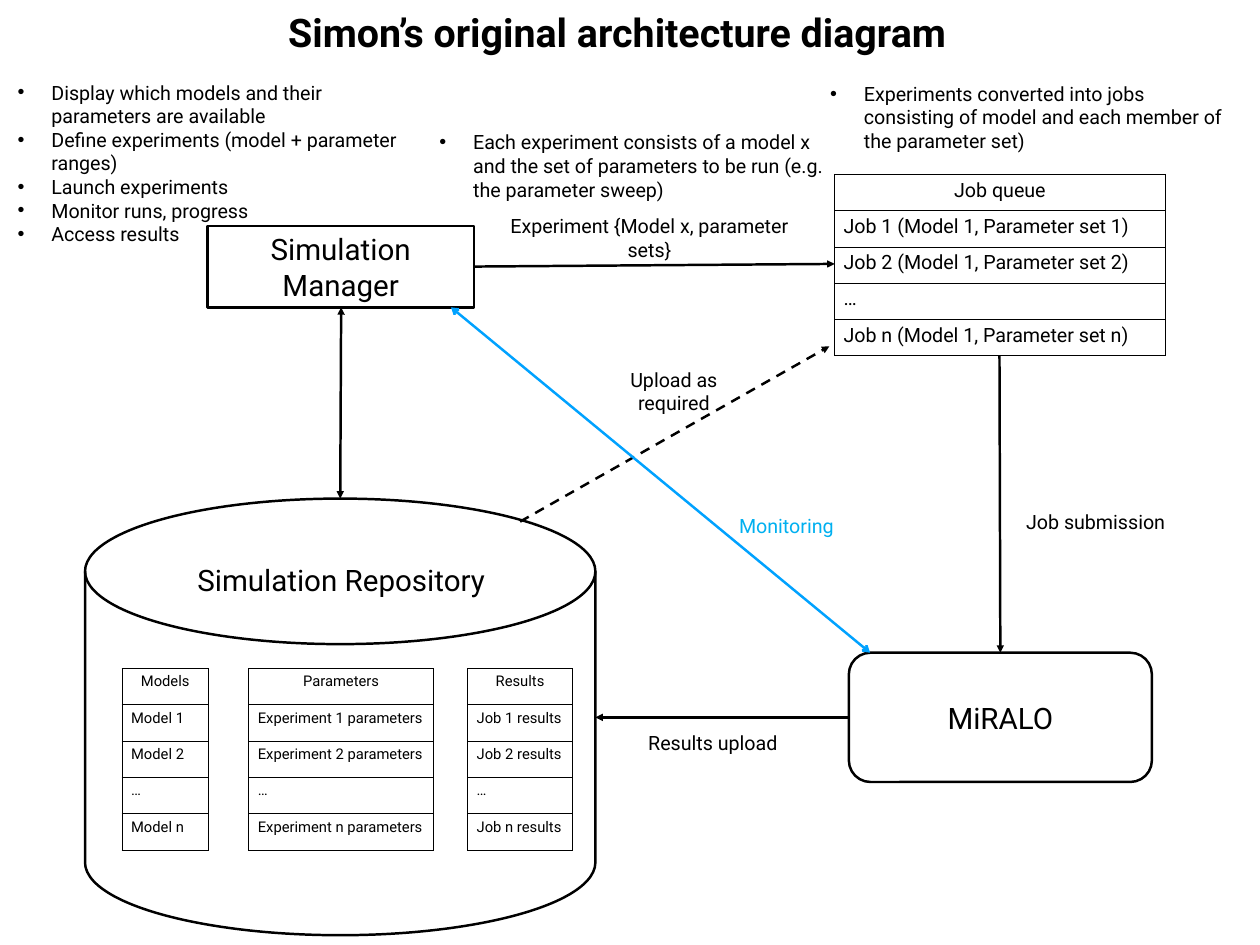
from lxml import etree
from pptx import Presentation
from pptx.dml.color import RGBColor
from pptx.enum.dml import MSO_LINE
from pptx.enum.shapes import MSO_CONNECTOR, MSO_SHAPE
from pptx.enum.text import MSO_ANCHOR, MSO_AUTO_SIZE, PP_ALIGN
from pptx.oxml.ns import qn
from pptx.util import Inches, Pt

BLACK = RGBColor(0x00, 0x00, 0x00)
WHITE = RGBColor(0xFF, 0xFF, 0xFF)
BLUE = RGBColor(0x00, 0xA2, 0xFF)
SKY = RGBColor(0x00, 0xB0, 0xF0)
CENTER, LEFT = PP_ALIGN.CENTER, PP_ALIGN.LEFT
MIDDLE, NO_FIT = MSO_ANCHOR.MIDDLE, MSO_AUTO_SIZE.NONE
STRAIGHT, DASH = MSO_CONNECTOR.STRAIGHT, MSO_LINE.DASH
DISK, BOX, ROUNDED = (MSO_SHAPE.FLOWCHART_MAGNETIC_DISK, MSO_SHAPE.RECTANGLE,
                      MSO_SHAPE.ROUNDED_RECTANGLE)
FONT = "Roboto"
INSET, INDENT, ROW = 0.06, 0.38, 0.41

TITLE = ("Simon’s original architecture diagram", (1.68, 0.03, 10.58, 0.65))

NOTES = {
    1: ((0.14, 0.84, 4.58, 2.0), [
        "Display which models and their parameters are available",
        "Define experiments (model + parameter ranges)",
        "Launch experiments",
        "Monitor runs, progress",
        "Access results"]),
    2: ((4.9, 1.41, 4.58, 0.92), [
        "Each experiment consists of a model x and the set of parameters "
        "to be run (e.g. the parameter sweep)"]),
    4: ((9.31, 0.86, 4.58, 0.92), [
        "Experiments converted into jobs consisting of model and each "
        "member of the parameter set)"]),
}

REPOSITORY = (0.96, 5.63, 5.76, 4.93)
MANAGER = (2.34, 2.55, 3.01, 0.92)
CLOUD = (9.58, 7.37, 3.42, 1.46)
COMPONENTS = [
    (DISK, REPOSITORY, ""),
    (BOX, MANAGER, "Simulation Manager"),
    (ROUNDED, CLOUD, "MiRALO"),
]

STORE_TOP = 7.55
QUEUE_LEFT, QUEUE_TOP, QUEUE_WIDTH = 9.42, 1.97, 3.73
TABLES = [
    ("Models", "Model {}", 1.38, STORE_TOP, 0.97, 12),
    ("Parameters", "Experiment {} parameters", 2.81, STORE_TOP, 2.08, 12),
    ("Results", "Job {} results", 5.28, STORE_TOP, 1.18, 12),
    ("Job queue", "Job {0} (Model 1, Parameter set {0})",
     QUEUE_LEFT, QUEUE_TOP, QUEUE_WIDTH, 16),
]

LABELS = [
    ("Simulation Repository", (2.16, 6.28, 3.38, 0.52), 24, BLACK),
    ("Experiment {Model x, parameter sets}", (5.61, 2.36, 3.44, 0.65), 16, BLACK),
    ("Upload as required", (6.73, 4.09, 1.75, 0.65), 16, BLACK),
    ("Job submission", (11.49, 5.7, 1.75, 0.38), 16, BLACK),
    ("Results upload", (7.17, 8.2, 1.75, 0.38), 16, BLACK),
    ("Monitoring", (8.0, 5.74, 1.75, 0.38), 16, SKY),
]

MANAGER_RIGHT = MANAGER[0] + MANAGER[2]
MANAGER_BOTTOM = MANAGER[1] + MANAGER[3]
REPOSITORY_RIGHT = REPOSITORY[0] + REPOSITORY[2]
QUEUE_BOTTOM = QUEUE_TOP + 5 * ROW
CLOUD_LEFT, CLOUD_TOP = CLOUD[:2]
CLOUD_MIDDLE = CLOUD_TOP + CLOUD[3] / 2
FLOWS = [
    ((MANAGER_RIGHT, 3.01), (QUEUE_LEFT, 2.98), BLACK, None, "triangle", False),
    ((11.28, QUEUE_BOTTOM), (11.29, CLOUD_TOP), BLACK, None, "triangle", False),
    ((CLOUD_LEFT, CLOUD_MIDDLE), (REPOSITORY_RIGHT, CLOUD_MIDDLE),
     BLACK, None, "triangle", False),
    ((5.87, 5.89), (9.36, 3.91), BLACK, None, "triangle", True),
    ((3.85, MANAGER_BOTTOM), (3.84, REPOSITORY[1]), BLACK, "triangle", "triangle", False),
    ((5.09, MANAGER_BOTTOM), (9.82, CLOUD_TOP), BLUE, "arrow", "arrow", False),
]


def inches(lengths):
    return [Inches(length) for length in lengths]


def style(frame, size, color=BLACK, align=CENTER, bold=False):
    for paragraph in frame.paragraphs:
        paragraph.alignment = align
        paragraph.space_before = Pt(0)
        for run in paragraph.runs:
            run.font.name, run.font.size, run.font.bold = FONT, Pt(size), bold
            run.font.color.rgb = color


def write(shape, text, size, color=BLACK, align=CENTER, bold=False):
    frame = shape.text_frame
    frame.text = text
    frame.word_wrap, frame.auto_size = True, NO_FIT
    frame.vertical_anchor = MIDDLE
    frame.margin_left = frame.margin_right = Inches(INSET)
    frame.margin_top = frame.margin_bottom = Inches(INSET)
    style(frame, size, color, align, bold)


def place(shape, area):
    shape.left, shape.top, shape.width, shape.height = inches(area)


def add_bullets(frame):
    for paragraph in frame.paragraphs:
        properties = paragraph._p.get_or_add_pPr()
        properties.set("marL", str(Inches(INDENT)))
        properties.set("indent", str(-Inches(INDENT)))
        etree.SubElement(properties, qn("a:buFont"), typeface="Arial")
        etree.SubElement(properties, qn("a:buChar"), char="•")


def add_component(slide, kind, area, text):
    component = slide.shapes.add_shape(kind, *inches(area))
    component.shadow.inherit = False
    component.fill.solid()
    component.fill.fore_color.rgb = WHITE
    component.line.color.rgb = BLACK
    component.line.width = Pt(2)
    if text:
        write(component, text, 24)


def add_borders(cell):
    properties = cell._tc.get_or_add_tcPr()
    for position, side in enumerate(("lnL", "lnR", "lnT", "lnB")):
        border = etree.Element(qn(f"a:{side}"), w=str(Pt(1)))
        fill = etree.SubElement(border, qn("a:solidFill"))
        etree.SubElement(fill, qn("a:srgbClr"), val=str(BLACK))
        properties.insert(position, border)


def add_records(slide, heading, pattern, left, top, width, size):
    entries = [heading, pattern.format(1), pattern.format(2), "…", pattern.format("n")]
    area = inches((left, top, width, ROW * len(entries)))
    table = slide.shapes.add_table(len(entries), 1, *area).table
    table.first_row = table.horz_banding = False
    for index, entry in enumerate(entries):
        table.rows[index].height = Inches(ROW)
        cell = table.cell(index, 0)
        cell.text = entry
        cell.fill.background()
        add_borders(cell)
        style(cell.text_frame, size, align=LEFT if index else CENTER)


def add_flow(slide, start, end, color, head, tail, dashed):
    flow = slide.shapes.add_connector(STRAIGHT, *inches(start + end))
    flow.line.color.rgb = color
    flow.line.width = Pt(2)
    if dashed:
        flow.line.dash_style = DASH
    line = flow.line._get_or_add_ln()
    for tag, arrow in (("a:headEnd", head), ("a:tailEnd", tail)):
        if arrow:
            etree.SubElement(line, qn(tag), type=arrow)
    etree.SubElement(flow._element.spPr, qn("a:effectLst"))


deck = Presentation()
deck.slide_width, deck.slide_height = inches((14.22, 10.67))
slide = deck.slides.add_slide(deck.slide_layouts.get_by_name("Comparison"))

heading, heading_area = TITLE
place(slide.shapes.title, heading_area)
write(slide.shapes.title, heading, 32, bold=True)

for holder in list(slide.placeholders)[1:]:
    number = holder.placeholder_format.idx
    if number in NOTES:
        area, points = NOTES[number]
        place(holder, area)
        write(holder, "\n".join(points), 16, align=LEFT)
        add_bullets(holder.text_frame)
    else:
        holder._element.getparent().remove(holder._element)

for component in COMPONENTS:
    add_component(slide, *component)
for records in TABLES:
    add_records(slide, *records)
for flow in FLOWS:
    add_flow(slide, *flow)
for text, area, size, color in LABELS:
    write(slide.shapes.add_textbox(*inches(area)), text, size, color)

deck.save("out.pptx")
